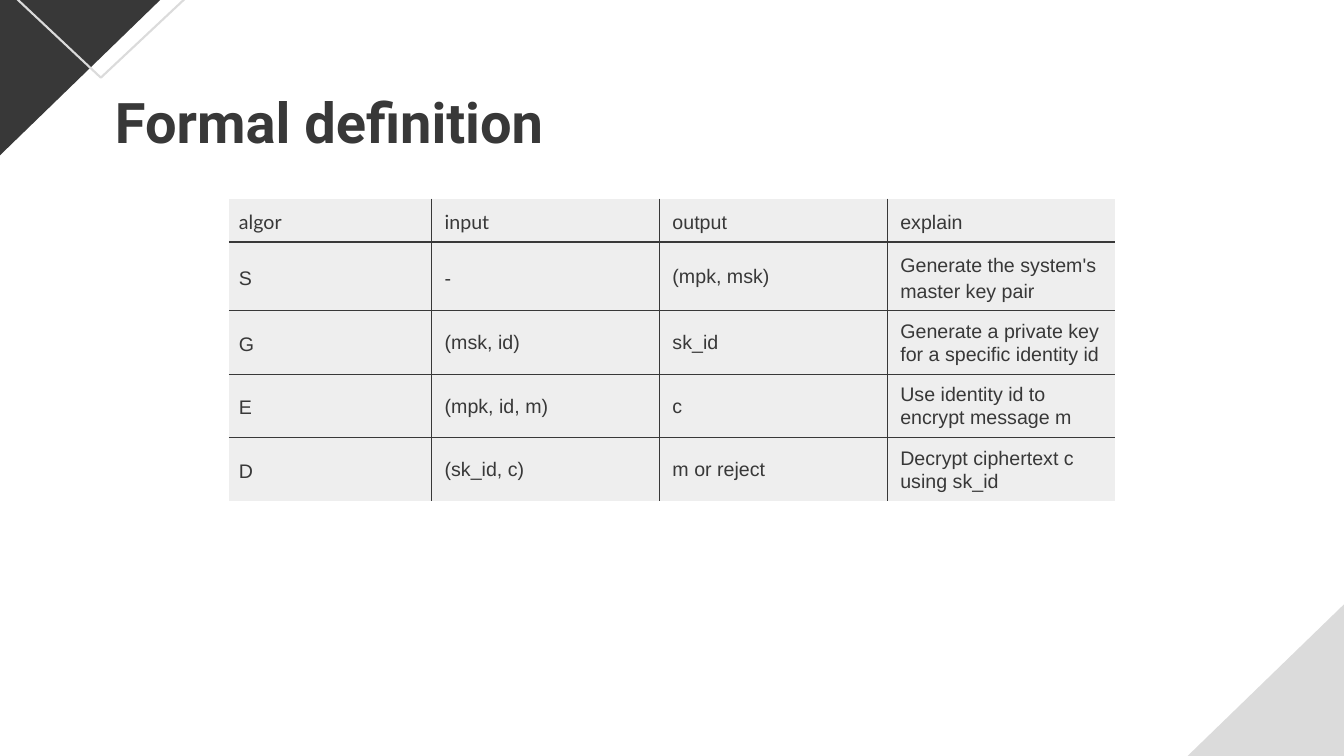
from dataclasses import dataclass

from lxml.etree import SubElement
from pptx import Presentation
from pptx.dml.color import RGBColor
from pptx.enum.shapes import MSO_SHAPE as Preset
from pptx.enum.text import MSO_ANCHOR as Anchor
from pptx.enum.text import MSO_AUTO_SIZE as AutoSize
from pptx.enum.text import PP_ALIGN as Align
from pptx.oxml.ns import qn
from pptx.slide import Slide
from pptx.util import Inches, Pt


@dataclass(frozen=True)
class Theme:
    dark: str = "383838"
    gray: str = "DBDBDB"
    cell: str = "EEEEEE"
    title_font: str = "Roboto"
    header_font: str = "Lato"
    body_font: str = "Arial"
    title_size: float = 40
    body_size: float = 14
    loose_spacing: float = 18.8
    tight_spacing: float = 16.5


@dataclass(frozen=True)
class Triangle:
    preset: Preset
    left: float
    top: float
    width: float
    height: float
    rotation: float = 0
    flipped: bool = False
    fill: str | None = None
    line: str | None = None


THEME = Theme()
TRIANGLES = (
    Triangle(Preset.RIGHT_TRIANGLE, 10.81, 3.62, 4.97, 4.82, flipped=True, fill=THEME.gray),
    Triangle(Preset.RIGHT_TRIANGLE, -1.35, -1.97, 4.97, 4.82, 180, flipped=True, fill=THEME.dark),
    Triangle(Preset.ISOSCELES_TRIANGLE, -2.91, -2.9, 7.82, 3.67, 180, line=THEME.gray),
)
ALGORITHMS = (
    ("algor", "input", "output", "explain"),
    ("S", "-", "(mpk, msk)", "Generate the system's master key pair"),
    ("G", "(msk, id)", "sk_id", "Generate a private key for a specific identity id"),
    ("E", "(mpk, id, m)", "c", "Use identity id to encrypt message m"),
    ("D", "(sk_id, c)", "m or reject", "Decrypt ciphertext c using sk_id"),
)
COLUMN_WIDTHS = (2.01, 2.26, 2.26, 2.26)
ROW_HEIGHTS = (0.43, 0.68, 0.63, 0.63, 0.63)


def write_text(frame, text: str, *, font: str, size: float, bold: bool = False,
               spacing: float | None = None) -> None:
    paragraph = frame.paragraphs[0]
    paragraph.alignment = Align.LEFT
    if spacing:
        paragraph.line_spacing = Pt(spacing)
    run = paragraph.add_run()
    run.text = text
    run.font.name = font
    run.font.size = Pt(size)
    run.font.bold = bold
    run.font.color.rgb = RGBColor.from_string(THEME.dark)


def draw_triangle(slide: Slide, triangle: Triangle) -> None:
    shape = slide.shapes.add_shape(
        triangle.preset, Inches(triangle.left), Inches(triangle.top),
        Inches(triangle.width), Inches(triangle.height))
    shape.shadow.inherit = False
    shape.rotation = triangle.rotation
    if triangle.flipped:
        shape._element.spPr.xfrm.set("flipH", "1")
    if triangle.fill:
        shape.fill.solid()
        shape.fill.fore_color.rgb = RGBColor.from_string(triangle.fill)
    else:
        shape.fill.background()
    if triangle.line:
        shape.line.color.rgb = RGBColor.from_string(triangle.line)
        shape.line.width = Pt(1.5)
    else:
        shape.line.fill.background()


def draw_title(slide: Slide, text: str) -> None:
    title = slide.shapes.title
    title.left, title.top = Inches(1.04), Inches(0.77)
    title.width, title.height = Inches(11.24), Inches(0.77)
    frame = title.text_frame
    frame.auto_size = AutoSize.NONE
    frame.word_wrap = True
    frame.vertical_anchor = Anchor.TOP
    frame.margin_left = frame.margin_right = Inches(0.1)
    frame.margin_top = frame.margin_bottom = Inches(0.1)
    write_text(frame, text, font=THEME.title_font, size=THEME.title_size, bold=True)
    slide.shapes._spTree.append(title._element)


def set_borders(cell, inner_sides: dict[str, bool]) -> None:
    properties = cell._tc.get_or_add_tcPr()
    for side, inner in inner_sides.items():
        line = SubElement(properties, qn(f"a:ln{side}"), w=str(Pt(1)))
        if inner:
            fill = SubElement(line, qn("a:solidFill"))
            SubElement(fill, qn("a:srgbClr"), val=THEME.dark)
        else:
            SubElement(line, qn("a:noFill"))


def draw_table(slide: Slide) -> None:
    last_row, last_column = len(ROW_HEIGHTS) - 1, len(COLUMN_WIDTHS) - 1
    table = slide.shapes.add_table(
        len(ROW_HEIGHTS), len(COLUMN_WIDTHS), Inches(2.27), Inches(1.97),
        Inches(sum(COLUMN_WIDTHS)), Inches(sum(ROW_HEIGHTS))).table
    table.first_row = table.horz_banding = False
    for column, width in zip(table.columns, COLUMN_WIDTHS):
        column.width = Inches(width)
    for row, height in zip(table.rows, ROW_HEIGHTS):
        row.height = Inches(height)
    for row, texts in enumerate(ALGORITHMS):
        for column, text in enumerate(texts):
            cell = table.cell(row, column)
            set_borders(cell, {"L": column > 0, "R": column < last_column,
                               "T": row > 0, "B": row < last_row})
            cell.fill.solid()
            cell.fill.fore_color.rgb = RGBColor.from_string(THEME.cell)
            cell.vertical_anchor = Anchor.MIDDLE
            cell.margin_left = Inches(0.13 if column else 0.1)
            cell.margin_right = Inches(0.1 if row and column == last_column else 0.13)
            cell.margin_top = cell.margin_bottom = Inches(0.08)
            loose = row == 0 or column == 0 or (row == 1 and column != 2)
            write_text(
                cell.text_frame, text, size=THEME.body_size,
                font=THEME.header_font if row == 0 and column < 2 else THEME.body_font,
                spacing=THEME.loose_spacing if loose else THEME.tight_spacing)


def main() -> None:
    presentation = Presentation()
    presentation.slide_width, presentation.slide_height = Inches(13.33), Inches(7.5)
    slide = presentation.slides.add_slide(presentation.slide_layouts[5])
    for triangle in TRIANGLES:
        draw_triangle(slide, triangle)
    draw_title(slide, "Formal definition")
    draw_table(slide)
    presentation.save("out.pptx")


if __name__ == "__main__":
    main()
